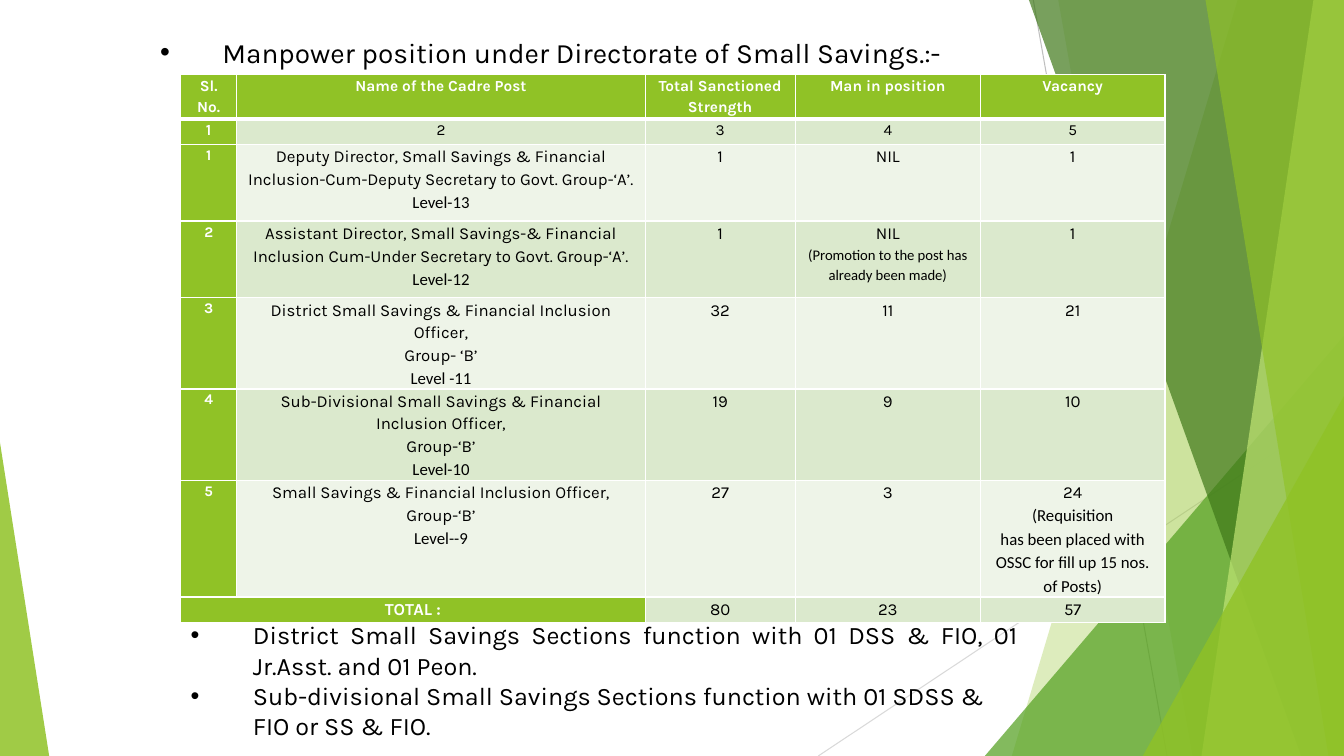
from lxml.etree import SubElement
from pptx import Presentation
from pptx.dml.color import RGBColor
from pptx.enum.shapes import MSO_CONNECTOR, MSO_SHAPE
from pptx.enum.text import MSO_ANCHOR, MSO_AUTO_SIZE, PP_ALIGN
from pptx.oxml.ns import qn
from pptx.util import Cm, Pt

theme = {
    "green": "90C226", "leaf": "54A021", "dark": "3F7819", "lime": "C0E474",
    "pale": "EEF4E8", "band": "DBE9CD", "white": "FFFFFF", "black": "000000",
    "rule": "BFBFBF", "faint": "D9D9D9",
    "title": {"name": "Karla", "size": Pt(20), "bold": False},
    "list": {"name": "Karla", "size": Pt(18), "bold": False},
    "head": {"name": "Karla", "size": Pt(11), "bold": True},
    "count": {"name": "Karla", "size": Pt(11), "bold": False},
    "key": {"name": "Karla", "size": Pt(10.5), "bold": True},
    "cell": {"name": "Karla", "size": Pt(12), "bold": False},
    "total": {"name": "Karla", "size": Pt(12), "bold": True},
    "level": {"name": "Calibri", "size": Pt(12), "bold": False},
    "small": {"name": "Calibri", "size": Pt(10.5), "bold": False},
}
WIDE, HIGH = 33.87, 19.05


def write(par, text, style, hue):
    run = par.add_run()
    run.text = text
    for key, val in theme[style].items():
        setattr(run.font, key, val)
    run.font.color.rgb = RGBColor.from_string(theme[hue])


def fill_list(shape, box, lines, style):
    for key, val in zip(("left", "top", "width", "height"), box):
        setattr(shape, key, Cm(val))
    frame = shape.text_frame
    look = {"word_wrap": True, "auto_size": MSO_AUTO_SIZE.NONE,
            "vertical_anchor": MSO_ANCHOR.TOP}
    for key, val in look.items():
        setattr(frame, key, val)
    for i, (text, align) in enumerate(lines):
        par = frame.add_paragraph() if i else frame.paragraphs[0]
        par.alignment = align
        par.space_before = Pt(0)
        props = par._p.get_or_add_pPr()
        props.set("marL", str(Cm(1.57)))
        props.set("indent", str(-Cm(1.57)))
        SubElement(props, qn("a:buFont"), typeface="Arial")
        SubElement(props, qn("a:buChar"), char="•")
        write(par, text, style, "black")


deck = Presentation()
deck.slide_width, deck.slide_height = Cm(WIDE), Cm(HIGH)
slide = deck.slides.add_slide(deck.slide_layouts[1])
shapes = slide.shapes
title, body = slide.placeholders

# Thin lines behind the panels
for x1, y1, x2, y2, hue in [(26.04, 0, 29.41, HIGH, "rule"),
                            (WIDE, 10.24, 20.62, HIGH, "faint")]:
    line = shapes.add_connector(MSO_CONNECTOR.STRAIGHT, Cm(x1), Cm(y1), Cm(x2), Cm(y2))
    line.line.color.rgb = RGBColor.from_string(theme[hue])
    line.line.width = Pt(0.75)
    SubElement(line.element.spPr, qn("a:effectLst"))

# Clear panels: (top x, foot x) slants, or (box, peak) triangles
panels = [
    ((31.19, 25.5), "green", 30),
    ((26.67, 30.05), "green", 20),
    (((24.82, 8.46, 9.05, 10.59), 1), "leaf", 72),
    ((25.93, 32.79), "dark", 70),
    ((33.1, 30.28), "lime", 70),
    ((30.38, 33.48), "green", 65),
    (((28.8, 9.98, 5.07, 9.07), 1), "green", 80),
    (((0, 11.15, 1.24, 7.9), 0), "green", 85),
]
for (start, end), hue, alpha in panels:
    if isinstance(start, tuple):
        panel = shapes.add_shape(MSO_SHAPE.ISOSCELES_TRIANGLE, *map(Cm, start))
        panel.adjustments[0] = end
    else:
        pen = shapes.build_freeform(Cm(start), 0)
        pen.add_line_segments([(Cm(WIDE), 0), (Cm(WIDE), Cm(HIGH)), (Cm(end), Cm(HIGH))])
        panel = pen.convert_to_shape()
    panel.shadow.inherit = False
    panel.line.fill.background()
    panel.fill.solid()
    panel.fill.fore_color.rgb = RGBColor.from_string(theme[hue])
    tint = panel.element.spPr.find(".//" + qn("a:srgbClr"))
    SubElement(tint, qn("a:alpha"), val=str(alpha * 1000))

# Title
shapes.element.append(title.element)
fill_list(title, (3.78, 0.76, 23.88, 1.5),
          [("Manpower position under Directorate of Small Savings.:-", PP_ALIGN.LEFT)], "title")

# Table text: "~" marks a level or note line, "^" a small note
rows = [
    ["Sl. No.", "Name of the Cadre Post", "Total Sanctioned\nStrength",
     "Man in position", "Vacancy"],
    ["1", "2", "3", "4", "5"],
    ["1", "Deputy Director, Small Savings & Financial Inclusion-Cum-Deputy Secretary "
     "to Govt. Group-‘A’.\n~Level-13", "1", "NIL", "1"],
    ["2", "Assistant Director, Small Savings-& Financial Inclusion Cum-Under Secretary "
     "to Govt. Group-‘A’.\n~Level-12", "1",
     "NIL\n^(Promotion to the post has already been made)", "1"],
    ["3", "District Small Savings & Financial Inclusion Officer,\nGroup- ‘B’\n~Level -11",
     "32", "11", "21"],
    ["4", "Sub-Divisional Small Savings & Financial Inclusion Officer,\nGroup-‘B’\n~Level-10",
     "19", "9", "10"],
    ["5", "Small Savings & Financial Inclusion Officer,\nGroup-‘B’\n~Level--9", "27", "3",
     "24\n~(Requisition\n~has been placed with OSSC for fill up 15 nos. of Posts)"],
    ["TOTAL :", "", "80", "23", "57"],
]
wides = [1.42, 10.29, 3.78, 4.67, 4.65]
highs = [1.12, 0.64] + [1.93] * 5 + [0.64]
marks = {"~": "level", "^": "small"}
last = len(rows) - 1

# Table
grid = shapes.add_table(len(rows), len(wides), Cm(4.55), Cm(1.88),
                        Cm(sum(wides)), Cm(sum(highs))).table
for key in ("first_row", "horz_banding"):
    setattr(grid, key, False)
for col, wide in zip(grid.columns, wides):
    col.width = Cm(wide)
for row, high in zip(grid.rows, highs):
    row.height = Cm(high)
grid.cell(last, 0).merge(grid.cell(last, 1))

for r, row in enumerate(rows):
    for c, text in enumerate(row):
        cell = grid.cell(r, c)
        pads = {"margin_left": 0.18, "margin_right": 0.18, "margin_top": 0, "margin_bottom": 0}
        for key, val in pads.items():
            setattr(cell, key, Cm(val))
        strong = r == 0 or c == 0
        props = cell._tc.get_or_add_tcPr()
        for side in "LRTB":
            thick = (r, side) in [(0, "B"), (1, "T")]
            edge = SubElement(props, qn("a:ln" + side), w=str(Pt(3 if thick else 1)))
            SubElement(SubElement(edge, qn("a:solidFill")), qn("a:srgbClr"), val=theme["white"])
        cell.fill.solid()
        shade = "green" if strong else "band" if r % 2 else "pale"
        cell.fill.fore_color.rgb = RGBColor.from_string(theme[shade])
        if r < 2:
            base = "head" if strong else "count"
        elif strong:
            base = "total" if r == last else "key"
        else:
            base = "cell"
        for i, part in enumerate(text.split("\n") if text else []):
            frame = cell.text_frame
            par = frame.add_paragraph() if i else frame.paragraphs[0]
            par.alignment = PP_ALIGN.CENTER
            par.line_spacing = 1.15
            write(par, part.lstrip("~^"), marks.get(part[0], base),
                  "white" if strong else "black")

# Notes under the table
shapes.element.append(body.element)
fill_list(body, (4.55, 15.49, 21.36, 3.23), [
    ("District Small Savings Sections function with 01 DSS & FIO, 01 Jr.Asst. and 01 Peon.",
     PP_ALIGN.JUSTIFY),
    ("Sub-divisional Small Savings Sections function with 01 SDSS & FIO or SS & FIO.",
     PP_ALIGN.LEFT),
], "list")

deck.save("out.pptx")
